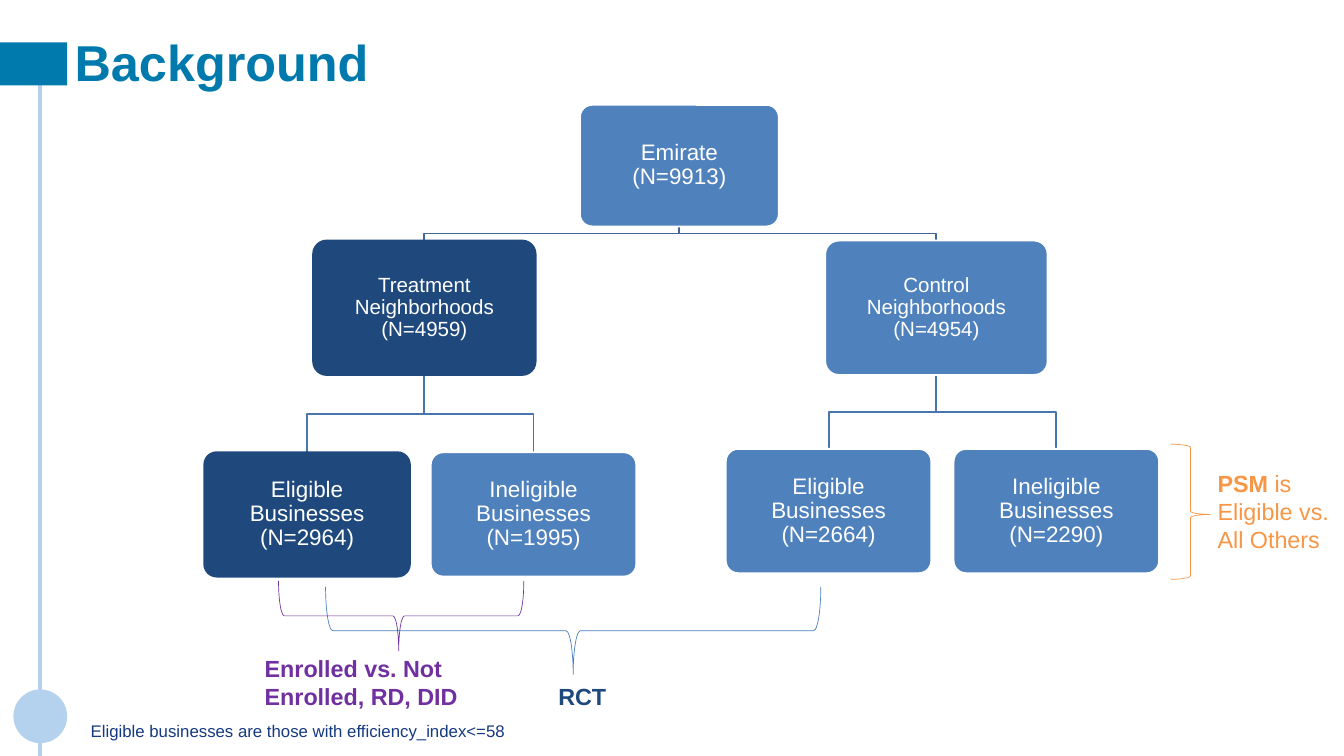
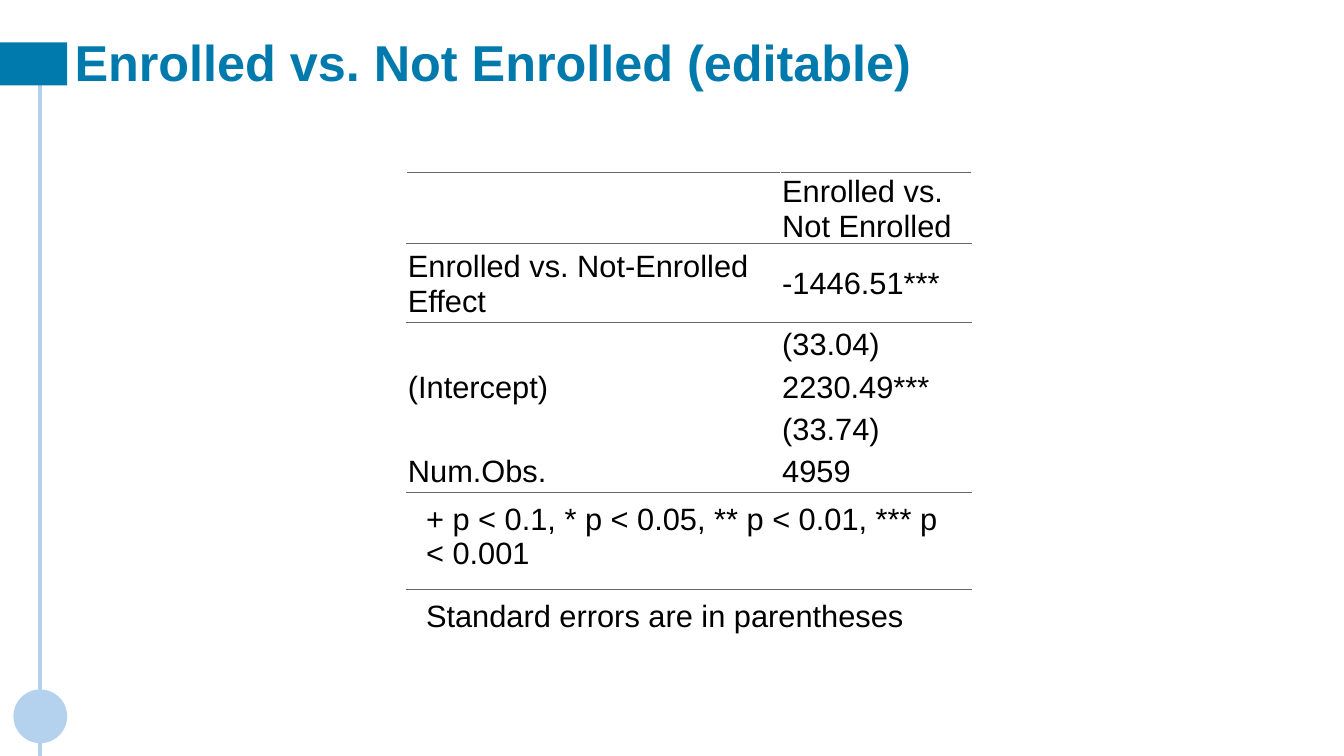
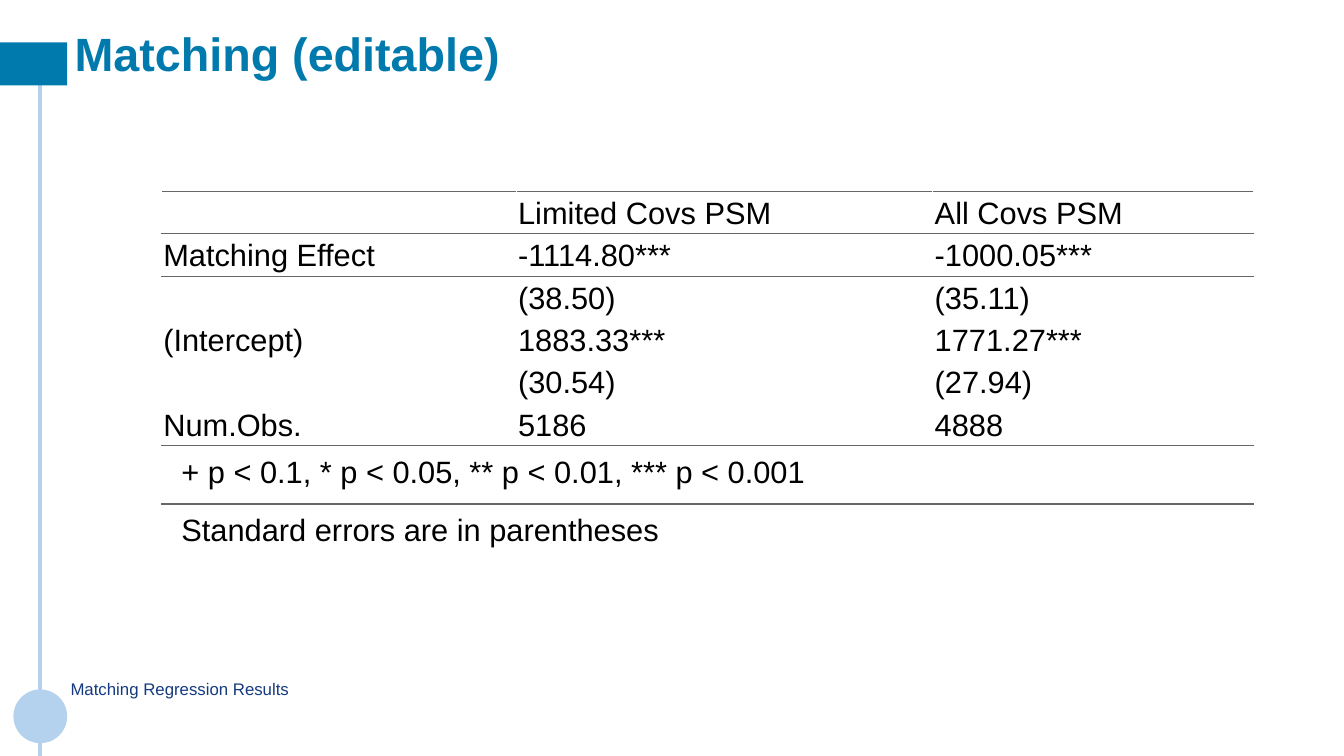
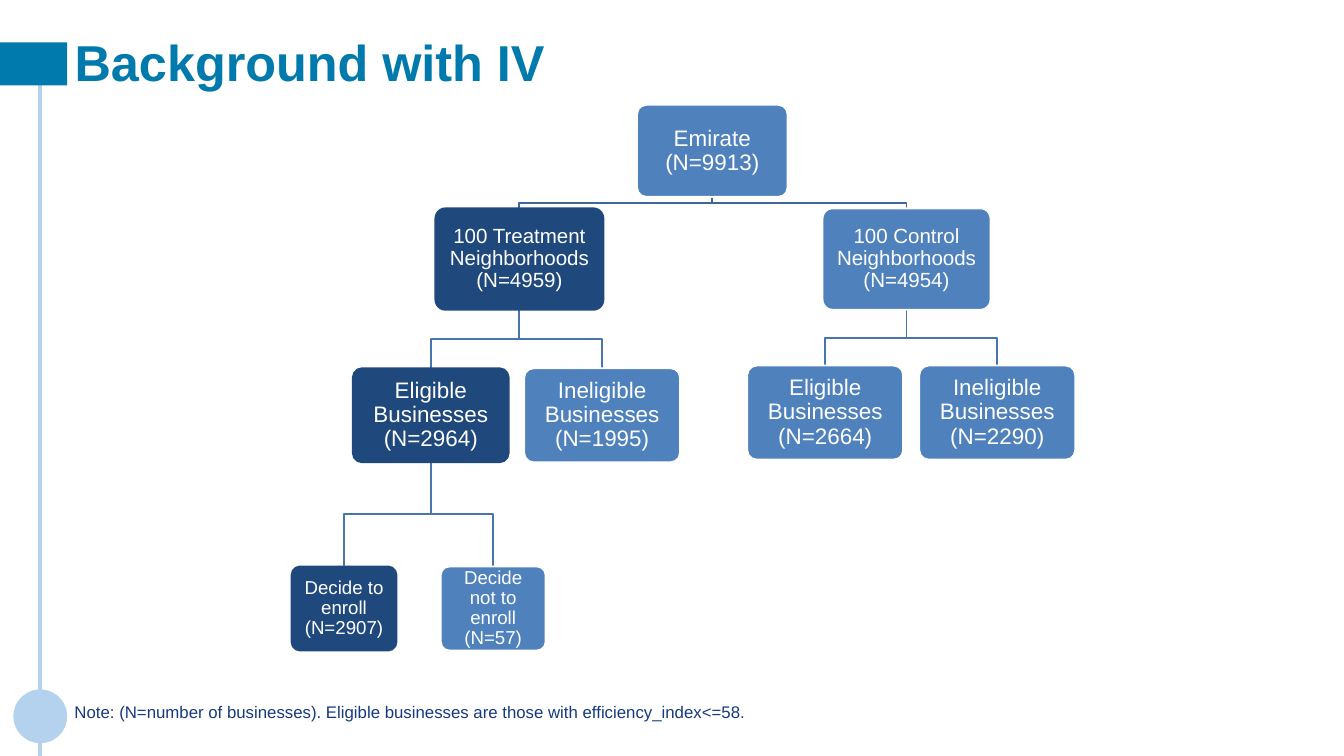
from lxml.etree import SubElement
from pptx import Presentation
from pptx.dml.color import RGBColor
from pptx.enum.shapes import MSO_CONNECTOR, MSO_SHAPE
from pptx.enum.text import MSO_ANCHOR, MSO_AUTO_SIZE, PP_ALIGN
from pptx.oxml import parse_xml
from pptx.oxml.ns import nsdecls, qn
from pptx.util import Inches, Pt

C = {
    "teal": "007AAD", "pale": "B4D2EE", "blue": "4F81BD", "navy": "1F497D",
    "note": "153A80", "white": "FFFFFF", "black": "000000", "rule": "666666",
    "top_link": "3F6797", "link": "4875AC", "brace": "4B7EBC",
    "purple": "7030A0", "orange": "F79646",
}


def write(p, text, size=18, color="note", bold=False, align=PP_ALIGN.LEFT, spacing=None, after=None):
    p.alignment = align
    if spacing:
        p.line_spacing = spacing
    if after is not None:
        p.space_after = Pt(after)
    r = p.add_run()
    r.text = text
    r.font.name = "Arial"
    r.font.size = Pt(size)
    r.font.bold = bold
    r.font.color.rgb = RGBColor.from_string(C[color])


def style(sp, fill=None, line=None, width=1):
    sp.shadow.inherit = False
    if fill:
        sp.fill.solid()
        sp.fill.fore_color.rgb = RGBColor.from_string(C[fill])
    else:
        sp.fill.background()
    if line:
        sp.line.color.rgb = RGBColor.from_string(C[line])
        sp.line.width = Pt(width)
    else:
        sp.line.fill.background()


prs = Presentation()
prs.slide_width, prs.slide_height = Inches(20), Inches(11.25)
layout = prs.slide_layouts[5]
title = layout.placeholders[0]
title.left, title.top, title.width, title.height = [Inches(v) for v in (1.01, 0.42, 18.52, 0.86)]

slides = []
for text, size, spacing in [
    ("Background", 54, None),
    ("Enrolled vs. Not Enrolled (editable)", 54, None),
    ("Matching (editable)", 50, 0.9),
    ("Background with IV", 54, None),
]:
    s = prs.slides.add_slide(layout)
    tf = s.shapes.title.text_frame
    tf.word_wrap = True
    tf.auto_size = MSO_AUTO_SIZE.NONE
    tf.vertical_anchor = MSO_ANCHOR.TOP
    write(tf.paragraphs[0], text, size=size, color="teal", bold=True, spacing=spacing)
    slides.append(s)

shapes = slides[0].shapes
rail = shapes.add_connector(MSO_CONNECTOR.STRAIGHT, Inches(0.6), Inches(0.96), Inches(0.6), Inches(11.25))
rail.line.color.rgb = RGBColor.from_string(C["pale"])
rail.line.width = Pt(4.5)
SubElement(rail.element.spPr, qn("a:effectLst"))
dot = shapes.add_shape(MSO_SHAPE.OVAL, Inches(0.2), Inches(10.26), Inches(0.8), Inches(0.8))
style(dot, fill="pale")
band = shapes.add_shape(MSO_SHAPE.RECTANGLE, 0, Inches(0.63), Inches(1), Inches(0.64))
style(band, fill="teal")
for i, sp in enumerate([rail, dot, band]):
    sp.element.xpath(".//p:cNvPr")[0].set("id", str(20 + i))
    layout.shapes.element.insert(2 + i, sp.element)

level_sizes = [24, 22, 24, 20]
trees = [
    (slides[0], [(2.96, 1.81), (3.31, 2), (3.06, 1.85)], [
        (0, None, 8.63, 1.56, "Emirate (N=9913)", False),
        (1, 0, 4.66, 3.58, "Treatment Neighborhoods (N=4959)", True),
        (1, 0, 12.28, 3.58, "Control Neighborhoods (N=4954)", False),
        (2, 1, 3.04, 6.73, "Eligible Businesses (N=2964)", True),
        (2, 1, 6.41, 6.73, "Ineligible Businesses (N=1995)", False),
        (2, 2, 10.8, 6.68, "Eligible Businesses (N=2664)", False),
        (2, 2, 14.19, 6.68, "Ineligible Businesses (N=2290)", False),
    ]),
    (slides[3], [(2.24, 1.37), (2.5, 1.51), (2.32, 1.4), (1.56, 1.25)], [
        (0, None, 9.48, 1.56, "Emirate (N=9913)", False),
        (1, 0, 6.48, 3.1, "100 Treatment Neighborhoods (N=4959)", True),
        (1, 0, 12.24, 3.1, "100 Control Neighborhoods (N=4954)", False),
        (2, 1, 5.25, 5.48, "Eligible Businesses (N=2964)", True),
        (2, 1, 7.8, 5.48, "Ineligible Businesses (N=1995)", False),
        (2, 2, 11.12, 5.44, "Eligible Businesses (N=2664)", False),
        (2, 2, 13.68, 5.44, "Ineligible Businesses (N=2290)", False),
        (3, 3, 4.34, 8.43, "Decide to enroll (N=2907)", True),
        (3, 3, 6.56, 8.43, "Decide not to enroll (N=57)", False),
    ]),
]
for s, box_sizes, nodes in trees:
    for level, parent, x, y, text, dark in nodes:
        if parent is None:
            continue
        parent_level, _, px, py, _, _ = nodes[parent]
        pw, ph = box_sizes[parent_level]
        x1, y1 = px + pw / 2, py + ph
        x2 = x + box_sizes[level][0] / 2
        mid = (y1 + y) / 2
        fb = s.shapes.build_freeform(Inches(x1), Inches(y1))
        fb.add_line_segments([(Inches(a), Inches(b)) for a, b in [(x1, mid), (x2, mid), (x2, y)]], close=False)
        style(fb.convert_to_shape(), line="link" if parent else "top_link", width=2)
    for level, parent, x, y, text, dark in nodes:
        w, h = box_sizes[level]
        sp = s.shapes.add_shape(MSO_SHAPE.ROUNDED_RECTANGLE, Inches(x), Inches(y), Inches(w), Inches(h))
        sp.adjustments[0] = 0.1
        style(sp, fill="navy" if dark else "blue", line="navy" if dark else "white", width=2)
        tf = sp.text_frame
        tf.word_wrap = True
        tf.vertical_anchor = MSO_ANCHOR.MIDDLE
        tf.margin_left = tf.margin_right = Inches(0.14)
        tf.margin_top = tf.margin_bottom = 0
        write(tf.paragraphs[0], text, size=level_sizes[level], color="white", align=PP_ALIGN.CENTER, spacing=0.9)

for x, y, w, h, rotation, middle, color in [
    (7.88, 5.7, 1.3, 7.37, 270, 0.5, "brace"),
    (5.45, 7.34, 1.04, 3.65, 270, 0.49, "purple"),
    (17.42, 6.61, 0.59, 2.01, 180, 0.48, "orange"),
]:
    sp = slides[0].shapes.add_shape(MSO_SHAPE.LEFT_BRACE, Inches(x), Inches(y), Inches(w), Inches(h))
    sp.rotation = rotation
    sp.adjustments[1] = middle
    style(sp, line=color, width=0.75)

note = {"size": 18, "color": "note"}
for s, x, y, w, h, inset, runs, fmt in [
    (slides[0], 8.21, 10.1, 1, 0.52, 0.1, [("RCT", True)], {"size": 25, "color": "navy"}),
    (slides[0], 3.84, 9.69, 4.01, 0.94, 0.1, [("Enrolled vs. Not Enrolled, RD, DID", True)],
     {"size": 25, "color": "purple"}),
    (slides[0], 18.02, 6.94, 1.98, 1.36, 0.1, [("PSM", True), (" is Eligible vs. All Others", False)],
     {"size": 25, "color": "orange"}),
    (slides[0], 1.25, 10.68, 18.52, 0.29, 0.1, [("Eligible businesses are those with efficiency_index<=58", False)], note),
    (slides[2], 1.01, 10.05, 18.46, 0.57, 0.04, [("Matching Regression Results", False)], note),
    (slides[3], 1.01, 10.39, 18.52, 0.69, 0.1,
     [("Note: (N=number of businesses). Eligible businesses are those with efficiency_index<=58.", False)], note),
]:
    tf = s.shapes.add_textbox(Inches(x), Inches(y), Inches(w), Inches(h)).text_frame
    tf.word_wrap = True
    tf.margin_left = tf.margin_right = Inches(inset)
    for text, bold in runs:
        write(tf.paragraphs[0], text, bold=bold, **fmt)

footers = [["+ p < 0.1, * p < 0.05, ** p < 0.01, *** p < 0.001"], ["Standard errors are in parentheses"]]
for s, x, y, cols, heights, rows in [
    (slides[1], 6.04, 2.57, [5.57, 2.85], [0.63, 1.18, 0.63, 0.63, 0.63, 0.63, 1.45, 0.9], [
        ["", "Enrolled vs. Not Enrolled"],
        ["Enrolled vs. Not-Enrolled Effect", "-1446.51***"],
        ["", "(33.04)"],
        ["(Intercept)", "2230.49***"],
        ["", "(33.74)"],
        ["Num.Obs.", "4959"],
    ]),
    (slides[2], 2.4, 2.85, [5.28, 6.2, 4.77], [0.63] * 6 + [0.87] * 2, [
        ["", "Limited Covs PSM", "All Covs PSM"],
        ["Matching Effect", "-1114.80***", "-1000.05***"],
        ["", "(38.50)", "(35.11)"],
        ["(Intercept)", "1883.33***", "1771.27***"],
        ["", "(30.54)", "(27.94)"],
        ["Num.Obs.", "5186", "4888"],
    ]),
]:
    tbl = s.shapes.add_table(len(heights), len(cols), Inches(x), Inches(y),
                             Inches(sum(cols)), Inches(sum(heights))).table
    tbl.first_row = tbl.horz_banding = False
    for col, w in zip(tbl.columns, cols):
        col.width = Inches(w)
    for i, (h, texts) in enumerate(zip(heights, rows + footers)):
        tbl.rows[i].height = Inches(h)
        footer = i >= len(rows)
        if footer:
            tbl.cell(i, 0).merge(tbl.cell(i, len(cols) - 1))
        for j in range(len(cols)):
            cell = tbl.cell(i, j)
            tcPr = cell._tc.get_or_add_tcPr()
            for tag, ruled in [("lnT", (0, 1, 6)), ("lnB", (0, 5))]:
                if i in ruled:
                    tcPr.append(parse_xml(
                        f'<a:{tag} {nsdecls("a")} w="19050"><a:solidFill>'
                        f'<a:srgbClr val="{C["rule"]}"/></a:solidFill></a:{tag}>'))
            cell.fill.background()
            cell.vertical_anchor = MSO_ANCHOR.TOP if footer else MSO_ANCHOR.MIDDLE
            cell.margin_left = cell.margin_right = Inches(0.3 if footer else 0.03)
            cell.margin_top = Inches(0.15 if footer else 0.03)
            cell.margin_bottom = Inches(0.15 if footer else 0)
            if j < len(texts) and texts[j]:
                write(cell.text_frame.paragraphs[0], texts[j], size=33, color="black", after=5)

prs.save("out.pptx")
